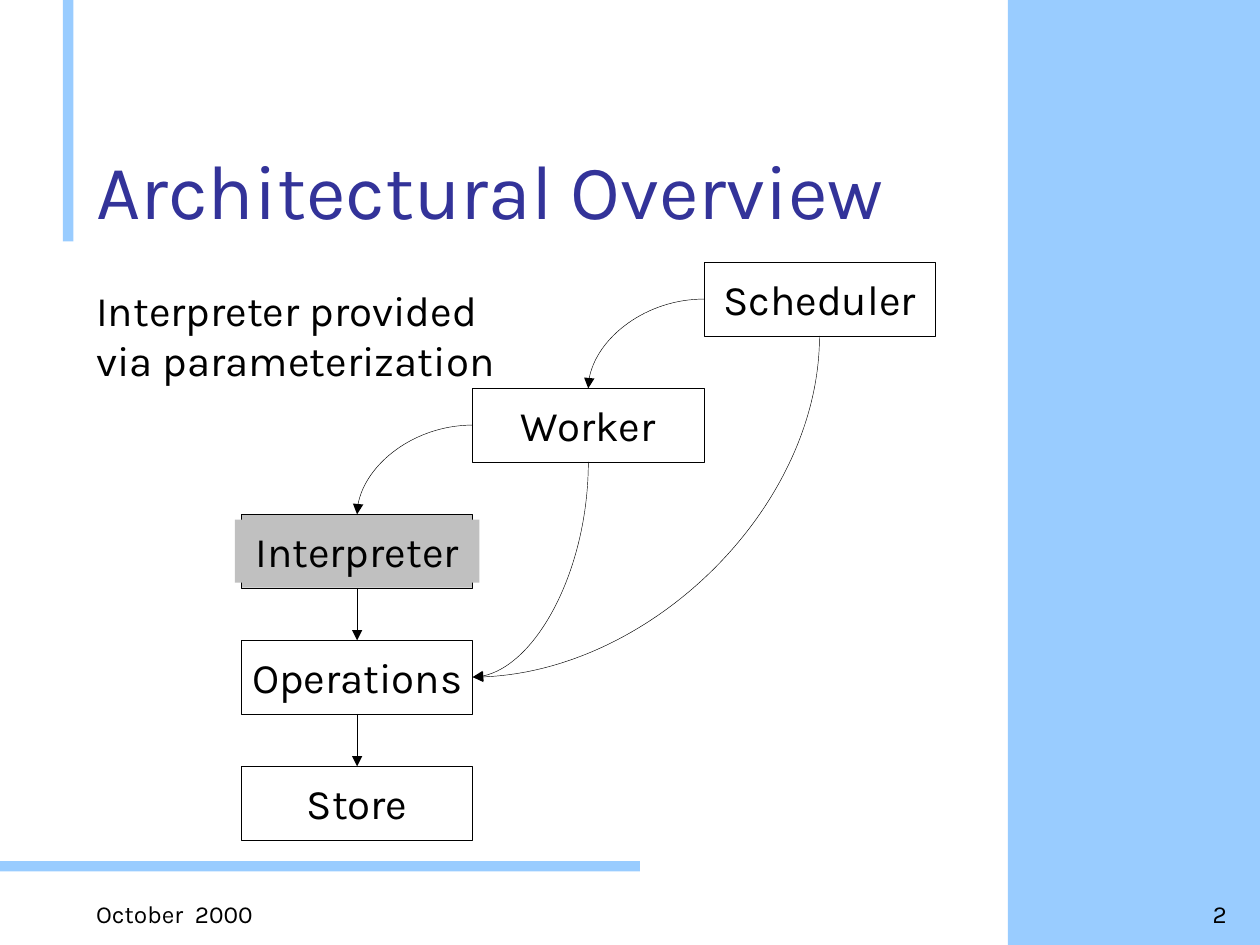
from lxml import etree
from pptx import Presentation
from pptx.dml.color import RGBColor
from pptx.enum.shapes import MSO_CONNECTOR, MSO_SHAPE
from pptx.enum.text import MSO_ANCHOR, MSO_AUTO_SIZE, PP_ALIGN
from pptx.oxml.ns import qn
from pptx.util import Cm, Pt

RECTANGLE = MSO_SHAPE.RECTANGLE
STRAIGHT, CURVE = MSO_CONNECTOR.STRAIGHT, MSO_CONNECTOR.CURVE
TOP, BOTTOM = MSO_ANCHOR.TOP, MSO_ANCHOR.BOTTOM
LEFT, CENTER, RIGHT = PP_ALIGN.LEFT, PP_ALIGN.CENTER, PP_ALIGN.RIGHT
FIT_SHAPE = MSO_AUTO_SIZE.SHAPE_TO_FIT_TEXT

FONT = "Karla"
COLORS = {"accent": "99CCFF", "title": "333399", "text": "000000",
          "line": "000000", "highlight": "C0C0C0"}

# left, top, width, height in cm
BANDS = [(20.32, 0, 5.08, 19.05), (1.27, 0, 0.21, 4.87), (0, 17.36, 12.9, 0.21)]

# lines, place in cm, size, colour, anchor, alignment
TEXTS = [
    (["Architectural Overview"], (1.69, 1.69, 18.63, 3.18), 44, "title", BOTTOM, LEFT),
    (["Interpreter provided", "via parameterization"],
     (1.69, 5.61, 23.28, 11.43), 24, "text", TOP, LEFT),
    (["2"], (20.53, 17.57, 4.45, 1.27), 14, "text", BOTTOM, RIGHT),
    (["October  2000"], (1.69, 17.57, 18.42, 1.27), 14, "text", BOTTOM, LEFT),
]

# name: column, row, label width in cm, fill
COMPONENTS = {
    "Store": (0, 4, 2.62, None),
    "Operations": (0, 3, 4.95, None),
    "Interpreter": (0, 2, 4.93, "highlight"),
    "Worker": (1, 1, 3.43, None),
    "Scheduler": (2, 0, 4.47, None),
}
GRID_LEFT, GRID_TOP = 4.87, 5.29
BOX_WIDTH, BOX_HEIGHT, ROW_PITCH = 4.66, 1.48, 2.54
LABEL_HEIGHT = 1.27

# Connection sites of a rectangle
SITE_TOP, SITE_LEFT, SITE_BOTTOM, SITE_RIGHT = range(4)
ARROWS = [
    ("Operations", SITE_BOTTOM, "Store", SITE_TOP),
    ("Interpreter", SITE_BOTTOM, "Operations", SITE_TOP),
    ("Scheduler", SITE_LEFT, "Worker", SITE_TOP),
    ("Worker", SITE_LEFT, "Interpreter", SITE_TOP),
    ("Worker", SITE_BOTTOM, "Operations", SITE_RIGHT),
    ("Scheduler", SITE_BOTTOM, "Operations", SITE_RIGHT),
]


def color(name):
    return RGBColor.from_string(COLORS[name])


def set_fill(shape, name):
    if name:
        shape.fill.solid()
        shape.fill.fore_color.rgb = color(name)
    else:
        shape.fill.background()


def add_box(shapes, place, fill, outlined):
    shape = shapes.add_shape(RECTANGLE, *map(Cm, place))
    shape.shadow.inherit = False
    set_fill(shape, fill)
    if outlined:
        shape.line.color.rgb = color("line")
        shape.line.width = Pt(0.25)
    else:
        shape.line.fill.background()
    return shape


def add_text(shapes, lines, place, size, color_name, anchor, alignment, wrap=True):
    text_box = shapes.add_textbox(*map(Cm, place))
    frame = text_box.text_frame
    frame.word_wrap = wrap
    frame.vertical_anchor = anchor
    paragraph = frame.paragraphs[0]
    paragraph.alignment = alignment
    for index, line in enumerate(lines):
        if index:
            paragraph.add_line_break()
        run = paragraph.add_run()
        run.text = line
        run.font.name = FONT
        run.font.size = Pt(size)
        run.font.color.rgb = color(color_name)
    return text_box


def add_component(shapes, name, column, row, label_width, fill):
    """Add a grouped box and label; return the box."""
    left = GRID_LEFT + column * BOX_WIDTH
    top = GRID_TOP + row * ROW_PITCH
    group = shapes.add_group_shape()
    box = add_box(group.shapes, (left, top, BOX_WIDTH, BOX_HEIGHT), fill, True)
    label_place = (left + (BOX_WIDTH - label_width) / 2,
                   top + (BOX_HEIGHT - LABEL_HEIGHT) / 2, label_width, LABEL_HEIGHT)
    label = add_text(group.shapes, [name], label_place, 24, "text", TOP, CENTER, wrap=False)
    label.text_frame.auto_size = FIT_SHAPE
    set_fill(label, fill)
    return box


def site_position(box, site):
    x = {SITE_LEFT: box.left, SITE_RIGHT: box.left + box.width}
    y = {SITE_TOP: box.top, SITE_BOTTOM: box.top + box.height}
    return (x.get(site, box.left + box.width // 2),
            y.get(site, box.top + box.height // 2))


def turn_quarter(connector):
    """Rotate by 90 degrees in place, so the curve leaves downwards and ends leftwards."""
    left, top, width, height = connector.left, connector.top, connector.width, connector.height
    connector.left = left + (width - height) // 2
    connector.top = top + (height - width) // 2
    connector.width, connector.height = height, width
    transform = connector._element.spPr.find(qn("a:xfrm"))
    transform.attrib.pop("flipH", None)
    transform.set("rot", "5400000")


def add_arrow(shapes, start, start_site, end, end_site):
    straight = (start_site, end_site) == (SITE_BOTTOM, SITE_TOP)
    connector = shapes.add_connector(STRAIGHT if straight else CURVE,
                                     *site_position(start, start_site),
                                     *site_position(end, end_site))
    connector.begin_connect(start, start_site)
    connector.end_connect(end, end_site)
    connector.line.color.rgb = color("line")
    connector.line.width = Pt(0.25)
    properties = connector._element.spPr
    if not straight:
        properties.find(qn("a:prstGeom")).set("prst", "curvedConnector2")
        if start_site == SITE_BOTTOM:
            turn_quarter(connector)
    etree.SubElement(properties.find(qn("a:ln")), qn("a:tailEnd"), type="triangle")
    etree.SubElement(properties, qn("a:effectLst"))


def main():
    presentation = Presentation()
    presentation.slide_width, presentation.slide_height = Cm(25.4), Cm(19.05)
    slide = presentation.slides.add_slide(presentation.slide_layouts[6])
    shapes = slide.shapes
    for place in BANDS:
        add_box(shapes, place, "accent", False)
    for text in TEXTS:
        add_text(shapes, *text)
    boxes = {name: add_component(shapes, name, *details)
             for name, details in COMPONENTS.items()}
    for start, start_site, end, end_site in ARROWS:
        add_arrow(shapes, boxes[start], start_site, boxes[end], end_site)
    presentation.save("out.pptx")


if __name__ == "__main__":
    main()
